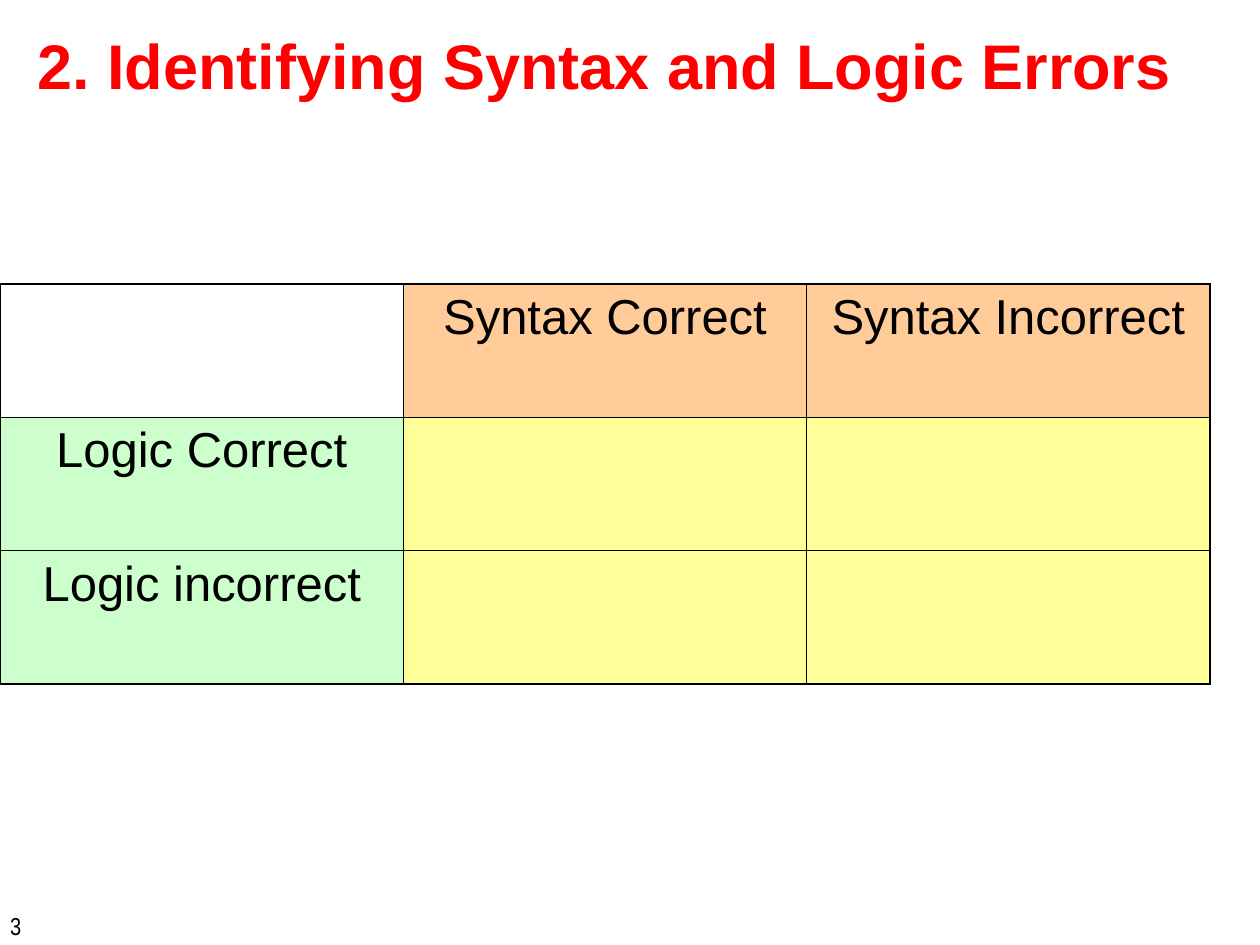
"""Build the slide with the syntax and logic error grid."""
from lxml.etree import SubElement
from pptx import Presentation
from pptx.dml.color import RGBColor as RGB
from pptx.enum.text import MSO_ANCHOR as Anchor, MSO_AUTO_SIZE as AutoSize, PP_ALIGN as Align
from pptx.oxml.ns import qn
from pptx.util import Pt

HEADING = "2. Identifying Syntax and Logic Errors"
PAGE = "3"
GRID = [
    ["", "Syntax Correct", "Syntax Incorrect"],
    ["Logic Correct", "", ""],
    ["Logic incorrect", "", ""],
]
THEME = {
    "font": "Arial", "page_font": "Arial Narrow",
    "heading_size": 36, "grid_size": 28, "page_size": 14,
    "heading": "FF0000", "text": "000000", "rule": "000000",
    "syntax": "FFCC99", "logic": "CCFFCC", "answer": "FFFF99",
    "outer_rule": 1.08, "inner_rule": 0.45,
}
SCALE = 914400 // 126


def px(*lengths):
    return [length * SCALE for length in lengths]


def style(paragraph, size, color, font=THEME["font"], bold=False, align=Align.LEFT):
    paragraph.alignment = align
    paragraph.font.name = font
    paragraph.font.size = Pt(size)
    paragraph.font.bold = bold
    paragraph.font.color.rgb = RGB.from_string(color)


def paint(cell, row, column):
    if row == column == 0:
        cell.fill.background()
        return
    role = "syntax" if row == 0 else "logic" if column == 0 else "answer"
    cell.fill.solid()
    cell.fill.fore_color.rgb = RGB.from_string(THEME[role])


def rule(cell, row, column):
    last_row, last_column = len(GRID) - 1, len(GRID[0]) - 1
    edges = {"a:lnL": column == 0, "a:lnR": column == last_column,
             "a:lnT": row == 0, "a:lnB": row == last_row}
    properties = cell._tc.get_or_add_tcPr()
    for position, (tag, outer) in enumerate(edges.items()):
        width = Pt(THEME["outer_rule" if outer else "inner_rule"])
        line = SubElement(properties, qn(tag), w=str(int(width)))
        fill = SubElement(line, qn("a:solidFill"))
        SubElement(fill, qn("a:srgbClr"), val=THEME["rule"])
        properties.insert(position, line)


def add_heading(slide):
    title = slide.shapes.title
    title.left, title.top, title.width, title.height = px(25, 18, 1210, 88)
    frame = title.text_frame
    frame.text = HEADING
    frame.auto_size = AutoSize.NONE
    frame.vertical_anchor = Anchor.BOTTOM
    frame.margin_bottom, = px(4)
    style(frame.paragraphs[0], THEME["heading_size"], THEME["heading"], bold=True)


def add_grid(slide):
    frame = slide.shapes.add_table(len(GRID), len(GRID[0]), *px(0, 284, 1210, 400))
    table = frame.table
    table.first_row = table.horz_banding = False
    for row, labels in enumerate(GRID):
        for column, label in enumerate(labels):
            cell = table.cell(row, column)
            cell.text = label
            style(cell.text_frame.paragraphs[0], THEME["grid_size"], THEME["text"],
                  align=Align.CENTER)
            paint(cell, row, column)
            rule(cell, row, column)


def add_page(slide):
    frame = slide.shapes.add_textbox(*px(0, 911, 79, 66)).text_frame
    frame.word_wrap = False
    frame.margin_left, frame.margin_top, frame.margin_right, frame.margin_bottom = px(10, 0, 0, 0)
    frame.text = PAGE
    style(frame.paragraphs[0], THEME["page_size"], THEME["text"], THEME["page_font"])


def main():
    deck = Presentation()
    deck.slide_width, deck.slide_height = px(1260, 945)
    slide = deck.slides.add_slide(deck.slide_layouts[5])
    add_page(slide)
    add_heading(slide)
    add_grid(slide)
    deck.save("out.pptx")


if __name__ == "__main__":
    main()
